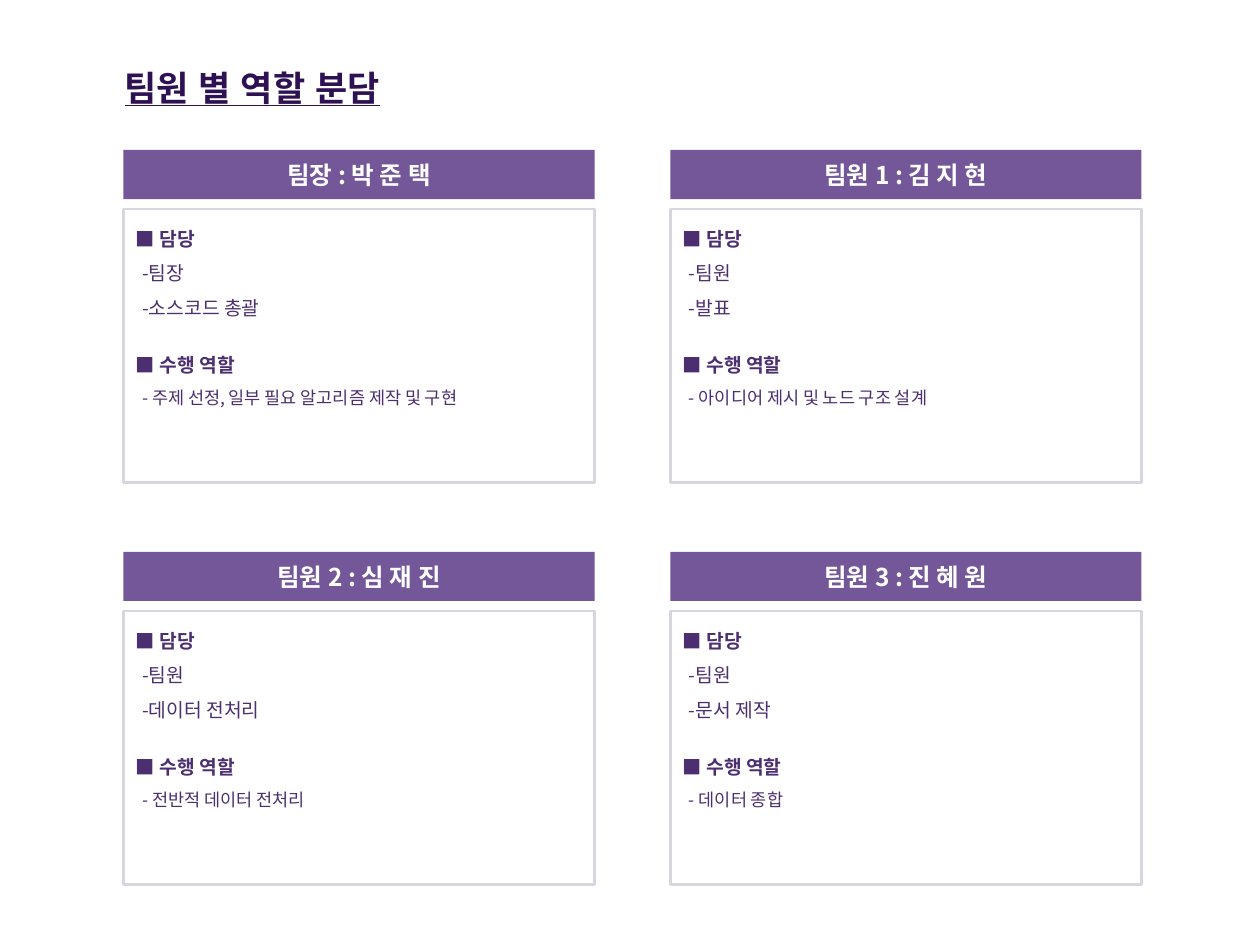
from dataclasses import dataclass

from lxml.etree import SubElement
from pptx import Presentation
from pptx.dml.color import RGBColor as Rgb
from pptx.enum.shapes import MSO_SHAPE as Shape
from pptx.enum.text import MSO_ANCHOR as Anchor, MSO_AUTO_SIZE as AutoSize, PP_ALIGN as Align
from pptx.oxml.ns import qn
from pptx.util import Inches, Pt


@dataclass(frozen=True)
class Theme:
    """Colours, fonts and type sizes of the slide."""
    title: Rgb = Rgb.from_string("2D1152")
    band: Rgb = Rgb.from_string("735798")
    border: Rgb = Rgb.from_string("D6D7DE")
    body: Rgb = Rgb.from_string("4B2F70")
    white: Rgb = Rgb.from_string("FFFFFF")
    title_font: str = "Arial"
    font: str = "Noto Sans CJK KR"
    title_size: Pt = Pt(20)
    name_size: Pt = Pt(14)
    text_size: Pt = Pt(11)
    task_size: Pt = Pt(10)


THEME = Theme()
CARD_WIDTH, NAME_HEIGHT, BODY_TOP, BODY_HEIGHT, TEXT_HEIGHT = 3.74, 0.39, 0.47, 2.17, 1.62
COLUMNS, ROWS = (0.98, 5.32), (1.19, 4.38)
MEMBERS = [
    ("팀장 : 박 준 택", ("팀장", "소스코드 총괄"), "주제 선정, 일부 필요 알고리즘 제작 및 구현"),
    ("팀원 1 : 김 지 현", ("팀원", "발표"), "아이디어 제시 및 노드 구조 설계"),
    ("팀원 2 : 심 재 진", ("팀원", "데이터 전처리"), "전반적 데이터 전처리"),
    ("팀원 3 : 진 혜 원", ("팀원", "문서 제작"), "데이터 종합"),
]


def apply(target, values):
    """Set each attribute in values on target."""
    for key, value in values.items():
        setattr(target, key, value)


def write(paragraph, text, color, font=THEME.font, **look):
    """Write one run of text with its font, colour and look."""
    run = paragraph.add_run()
    run.text = text
    apply(run.font, {"name": font, **look})
    run.font.color.rgb = color
    SubElement(run.font._element, qn("a:ea")).set("typeface", font)


def add_title(slide, left, top, width, height):
    """Place the underlined slide title."""
    frame = slide.shapes.add_textbox(*map(Inches, (left, top, width, height))).text_frame
    apply(frame, {"word_wrap": False, "auto_size": AutoSize.SHAPE_TO_FIT_TEXT})
    write(frame.paragraphs[0], "팀원 별 역할 분담", THEME.title, THEME.title_font,
          size=THEME.title_size, bold=True, underline=True)


def add_panel(slide, left, top, height, fill=None, border=None):
    """Place a card rectangle, either filled or outlined."""
    panel = slide.shapes.add_shape(
        Shape.RECTANGLE, *map(Inches, (left, top, CARD_WIDTH, height)))
    panel.shadow.inherit = False
    if fill:
        panel.fill.solid()
        panel.fill.fore_color.rgb = fill
    else:
        panel.fill.background()
    if border:
        panel.line.color.rgb = border
        panel.line.width = Pt(1.5)
    else:
        panel.line.fill.background()
    return panel


def add_duties(slide, left, top, roles, task):
    """Place the role and task lists of one member."""
    frame = slide.shapes.add_textbox(
        *map(Inches, (left, top, CARD_WIDTH, TEXT_HEIGHT))).text_frame
    apply(frame, {"word_wrap": True, "auto_size": AutoSize.SHAPE_TO_FIT_TEXT})
    heading = {"size": THEME.text_size, "bold": True}
    role_look = {"size": THEME.text_size, "bold": False}
    task_look = {"size": THEME.task_size, "bold": False}
    lines = [
        ("■ 담당", heading, 0, 0),
        *((f"-{role}", role_look, 0.05, 0) for role in roles),
        ("■ 수행 역할", heading, 0, 13),
        (f"- {task}", task_look, 0.05, 0),
    ]
    for index, (text, look, indent, gap) in enumerate(lines):
        paragraph = frame.add_paragraph() if index else frame.paragraphs[0]
        apply(paragraph, {"line_spacing": 1.5, "space_before": Pt(gap)})
        paragraph._p.get_or_add_pPr().set("marL", str(Inches(indent)))
        write(paragraph, text, THEME.body, **look)


def add_card(slide, left, top, name, roles, task):
    """Place one member card: name band, body frame and duties."""
    band = add_panel(slide, left, top, NAME_HEIGHT, fill=THEME.band).text_frame
    band.vertical_anchor = Anchor.MIDDLE
    band.paragraphs[0].alignment = Align.CENTER
    write(band.paragraphs[0], name, THEME.white, size=THEME.name_size, bold=True)
    add_panel(slide, left, top + BODY_TOP, BODY_HEIGHT, border=THEME.border)
    add_duties(slide, left, top + BODY_TOP, roles, task)


def main():
    """Build and save the slide."""
    deck = Presentation()
    apply(deck, {"slide_width": Inches(10), "slide_height": Inches(7.5)})
    slide = deck.slides.add_slide(deck.slide_layouts[6])
    add_title(slide, 0.89, 0.48, 2.46, 0.44)
    for index, member in enumerate(MEMBERS):
        row, column = divmod(index, len(COLUMNS))
        add_card(slide, COLUMNS[column], ROWS[row], *member)
    deck.save("out.pptx")


main()
